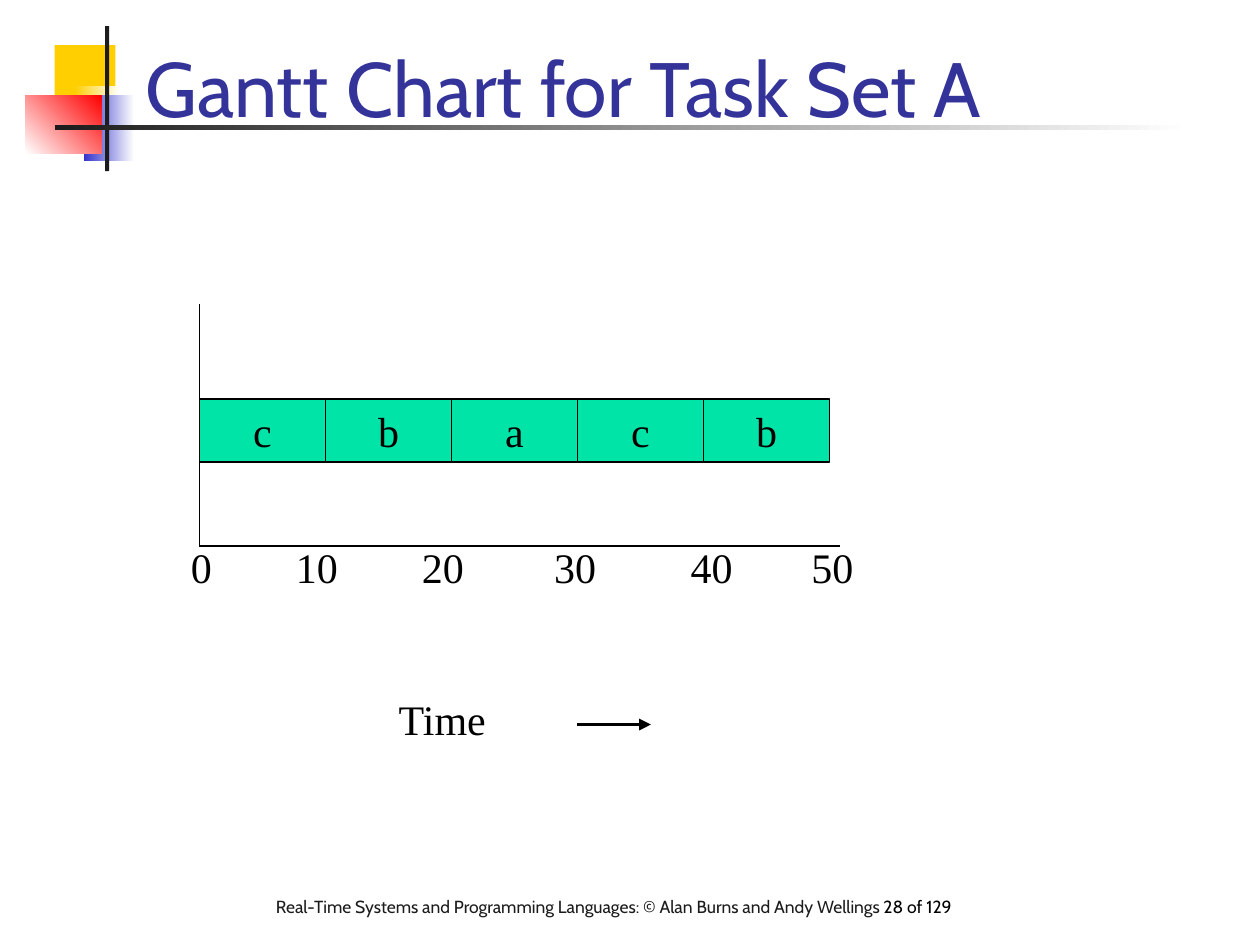
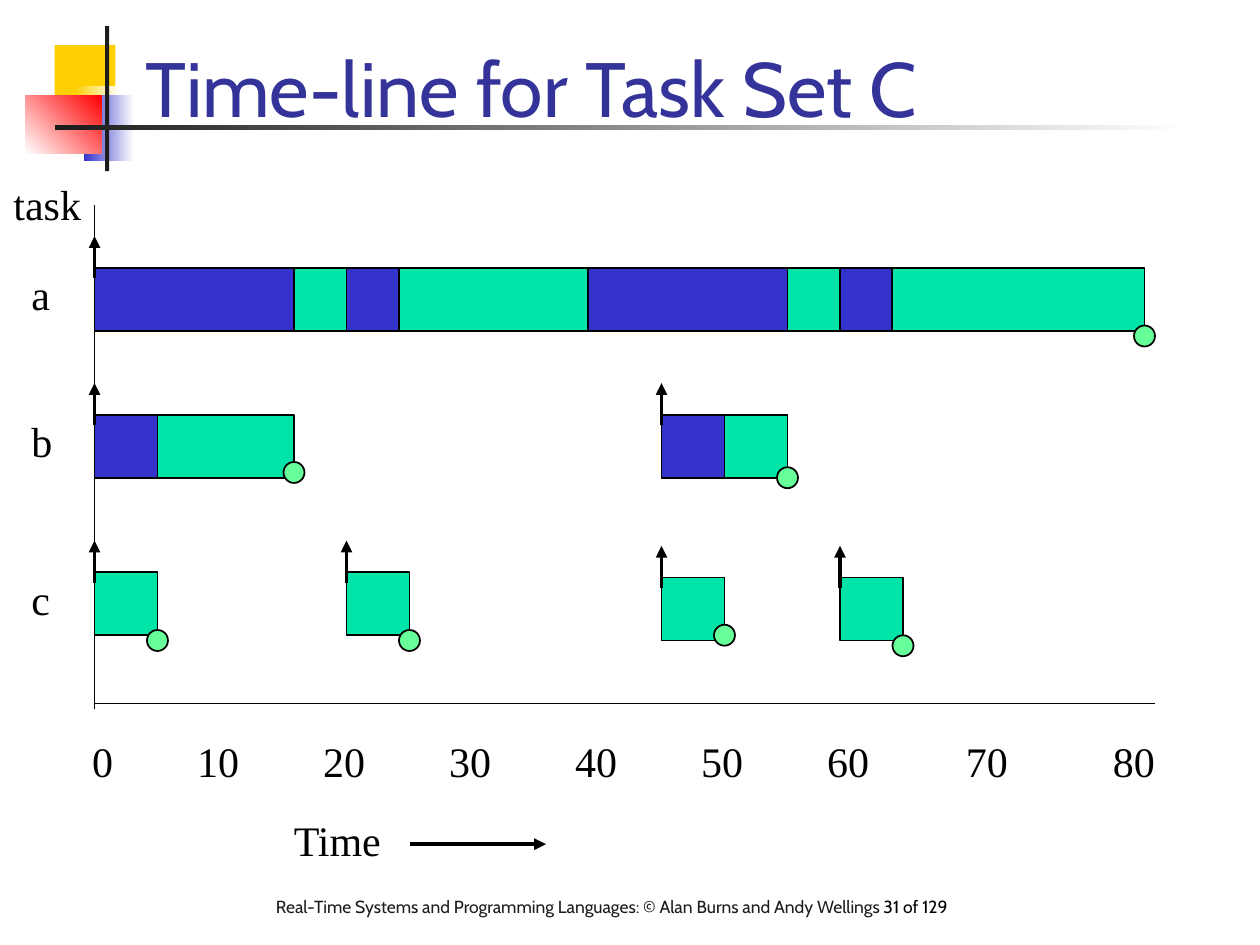
from dataclasses import dataclass
from itertools import pairwise

from lxml import etree
from pptx import Presentation
from pptx import util as u
from pptx.dml.color import RGBColor
from pptx.enum import shapes, text
from pptx.oxml.ns import qn

PX = u.Inches(1) // 120
COLORS = {
    "white": "FFFFFF", "black": "000000", "charcoal": "1C1C1C",
    "yellow": "FFCF01", "red": "FF0000", "blue": "3333CC",
    "title": "333399", "executing": "00E4A8", "preempted": "3333CC",
    "completed": "66FF99",
}
FONTS = {
    "title": {"name": "Cabin", "size": u.Pt(44)},
    "footer": {"name": "Cabin", "size": u.Pt(10)},
    "label": {"name": "Times New Roman", "size": u.Pt(24)},
}
LABEL_FRAME = {"word_wrap": False, "auto_size": text.MSO_AUTO_SIZE.SHAPE_TO_FIT_TEXT}
FOOTER = "Real-Time Systems and Programming Languages: © Alan Burns and Andy Wellings "
BAR_HEIGHT = 60
CHAR_WIDTHS = {1: 43, 2: 64, 4: 108}


@dataclass(frozen=True)
class Box:
    x: int
    y: int
    w: int
    h: int

    def emu(self) -> list[int]:
        return [v * PX for v in (self.x, self.y, self.w, self.h)]


@dataclass(frozen=True)
class Ornament:
    box: Box
    colors: tuple[str, ...]
    angle: int = 180


@dataclass(frozen=True)
class Label:
    words: str
    x: int
    y: int


@dataclass(frozen=True)
class Job:
    """One release of a task; segments between edges alternate and end executing."""
    edges: tuple[int, ...]
    y: int
    done_offset: int


ORNAMENTS = [
    Ornament(Box(52, 43, 58, 62), ("yellow",)),
    Ornament(Box(71, 82, 43, 62), ("white", "yellow")),
    Ornament(Box(80, 91, 48, 62), ("white", "blue")),
    Ornament(Box(24, 91, 73, 55), ("red", "white"), 225),
    Ornament(Box(100, 25, 4, 138), ("charcoal",)),
    Ornament(Box(52, 119, 1080, 5), ("white", "charcoal")),
]

GANTT_TICKS = [170, 270, 390, 516, 646, 761]
TIMELINE_TICKS = [76, *range(176, 777, 120), 908, 1048]
ROW_LABELS = [Label("task", 1, 164), Label("a", 18, 250),
              Label("b", 18, 390), Label("c", 18, 540)]
JOBS = [
    Job((90, 280, 330, 380, 560, 750, 800, 850, 1090), 255, 5),
    Job((90, 150, 280), 395, -5),
    Job((630, 690, 750), 395, 0),
    Job((90, 150), 545, 5),
    Job((330, 390), 545, 5),
    Job((630, 690), 550, -5),
    Job((800, 860), 550, 5),
]


def rgb(name: str) -> RGBColor:
    return RGBColor.from_string(COLORS[name])


def set_all(target, values: dict) -> None:
    for name, value in values.items():
        setattr(target, name, value)


def add_run(p, words: str, font: str, color: str) -> None:
    r = p.add_run()
    r.text = words
    set_all(r.font, FONTS[font])
    r.font.color.rgb = rgb(color)


def add_text(s, box: Box, frame: dict):
    """Add a text box and return its first paragraph."""
    tf = s.shapes.add_textbox(*box.emu()).text_frame
    set_all(tf, frame)
    return tf.paragraphs[0]


def add_label(s, label: Label) -> None:
    width = 88 if label.words == "task" else CHAR_WIDTHS[len(label.words)]
    p = add_text(s, Box(label.x, label.y, width, 60), LABEL_FRAME)
    add_run(p, label.words, "label", "black")


def add_ticks(s, lefts: list[int], y: int) -> None:
    for i, x in enumerate(lefts):
        add_label(s, Label(str(10 * i), x, y))


def add_outlined(s, box: Box, color: str, kind=shapes.MSO_SHAPE.RECTANGLE):
    sp = s.shapes.add_shape(kind, *box.emu())
    sp.shadow.inherit = False
    sp.fill.solid()
    sp.fill.fore_color.rgb = rgb(color)
    sp.line.color.rgb = rgb("black")
    sp.line.width = u.Pt(1)
    return sp


def add_line(s, start: tuple[int, int], end: tuple[int, int], arrow: bool = False) -> None:
    ends = [v * PX for v in (*start, *end)]
    cx = s.shapes.add_connector(shapes.MSO_CONNECTOR.STRAIGHT, *ends)
    cx.line.color.rgb = rgb("black")
    cx.line.width = u.Pt(2.25 if arrow else 1)
    sp_pr = cx.line._get_or_add_ln().getparent()
    if arrow:
        etree.SubElement(sp_pr.find(qn("a:ln")), qn("a:tailEnd"), type="triangle")
    etree.SubElement(sp_pr, qn("a:effectLst"))


def add_ornament(s, ornament: Ornament) -> None:
    sp = s.shapes.add_shape(shapes.MSO_SHAPE.RECTANGLE, *ornament.box.emu())
    sp.shadow.inherit = False
    sp.line.fill.background()
    if len(ornament.colors) == 1:
        sp.fill.solid()
        sp.fill.fore_color.rgb = rgb(ornament.colors[0])
        return
    sp.fill.gradient()
    sp.fill.gradient_angle = ornament.angle
    for stop, color in zip(sp.fill.gradient_stops, ornament.colors):
        stop.color.rgb = rgb(color)


def add_task(s, task: str, box: Box) -> None:
    tf = add_outlined(s, box, "executing").text_frame
    set_all(tf, {"word_wrap": False, "vertical_anchor": text.MSO_ANCHOR.MIDDLE})
    p = tf.paragraphs[0]
    p.alignment = text.PP_ALIGN.CENTER
    add_run(p, task, "label", "black")


def add_job(s, job: Job) -> None:
    """Draw the segments, the release arrow and the completion dot of a job."""
    segments = list(pairwise(job.edges))
    for i, (left, right) in enumerate(segments):
        state = "executing" if (len(segments) - i) % 2 else "preempted"
        add_outlined(s, Box(left, job.y, right - left, BAR_HEIGHT), state)
    release, done = job.edges[0], job.edges[-1]
    add_line(s, (release, job.y + 10), (release, job.y - 30), arrow=True)
    done_y = job.y + BAR_HEIGHT + job.done_offset
    add_outlined(s, Box(done - 10, done_y - 10, 20, 20), "completed", shapes.MSO_SHAPE.OVAL)


def new_slide(prs, title: str, page: int):
    s = prs.slides.add_slide(prs.slide_layouts[6])
    for ornament in ORNAMENTS:
        add_ornament(s, ornament)
    p = add_text(s, Box(251, 847, 727, 55), {"word_wrap": True})
    add_run(p, FOOTER, "footer", "charcoal")
    add_run(p, f"{page} of 129", "footer", "black")
    p = add_text(s, Box(127, 16, 1022, 116),
                 {"word_wrap": True, "vertical_anchor": text.MSO_ANCHOR.BOTTOM})
    add_run(p, title, "title", "title")
    return s


def gantt_slide(prs) -> None:
    s = new_slide(prs, "Gantt Chart for Task Set A", 28)
    for i, task in enumerate("cbacb"):
        add_task(s, task, Box(190 + 120 * i, 380, 120, BAR_HEIGHT))
    add_line(s, (190, 290), (190, 520))
    add_line(s, (190, 520), (800, 520))
    add_ticks(s, GANTT_TICKS, 510)
    add_label(s, Label("Time", 368, 655))
    add_line(s, (550, 690), (620, 690), arrow=True)


def timeline_slide(prs) -> None:
    s = new_slide(prs, "Time-line for Task Set C", 31)
    add_line(s, (90, 195), (90, 675))
    add_line(s, (90, 670), (1100, 670))
    for label in ROW_LABELS:
        add_label(s, label)
    for job in JOBS:
        add_job(s, job)
    add_ticks(s, TIMELINE_TICKS, 695)
    add_label(s, Label("Time", 268, 770))
    add_line(s, (390, 804), (520, 804), arrow=True)


def main() -> None:
    prs = Presentation()
    set_all(prs, {"slide_width": 1200 * PX, "slide_height": 900 * PX})
    gantt_slide(prs)
    timeline_slide(prs)
    prs.save("out.pptx")


if __name__ == "__main__":
    main()
